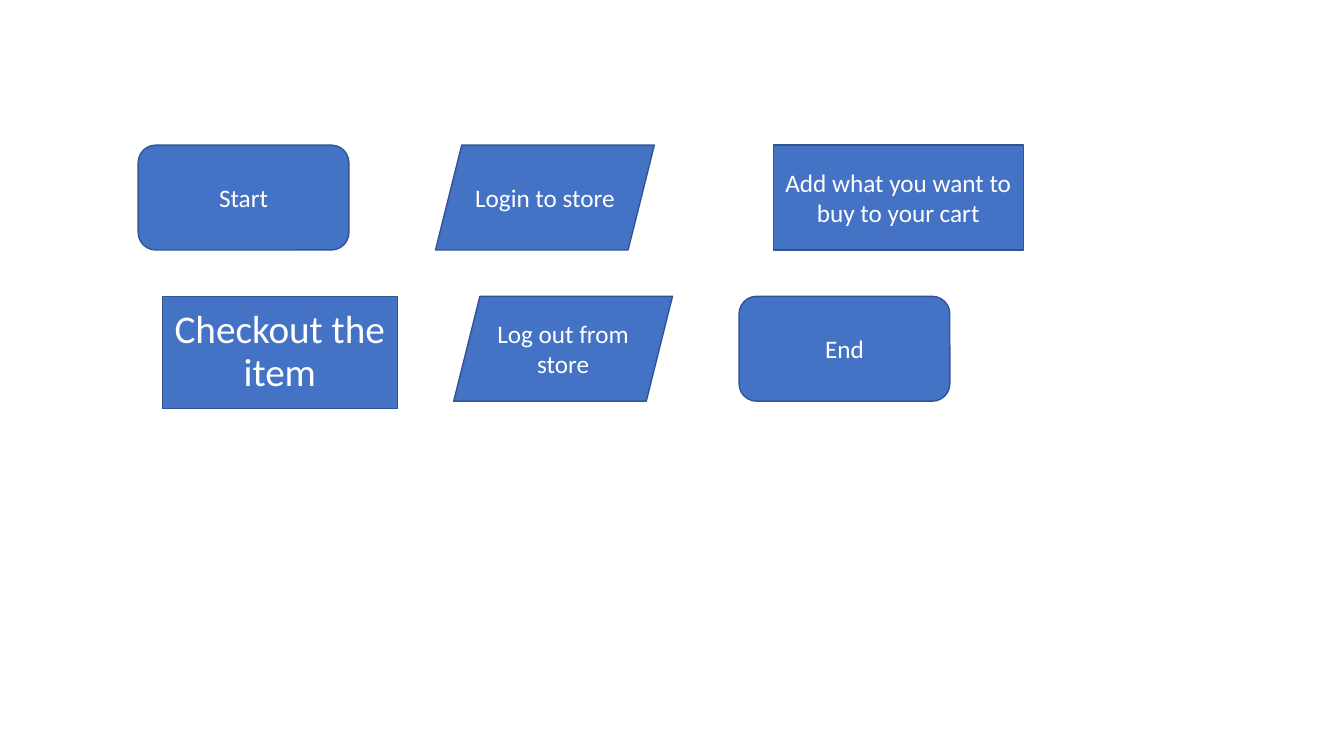
from dataclasses import dataclass

from lxml import etree
from pptx import Presentation
from pptx.dml.color import RGBColor
from pptx.enum.shapes import MSO_SHAPE
from pptx.enum.text import MSO_ANCHOR, MSO_AUTO_SIZE, PP_ALIGN
from pptx.oxml.ns import qn
from pptx.shapes.autoshape import Shape
from pptx.slide import Slide
from pptx.util import Inches, Pt

TERMINAL = MSO_SHAPE.ROUNDED_RECTANGLE
INPUT = MSO_SHAPE.PARALLELOGRAM
PROCESS = MSO_SHAPE.RECTANGLE
CENTER = PP_ALIGN.CENTER
MIDDLE = MSO_ANCHOR.MIDDLE
NO_AUTOFIT = MSO_AUTO_SIZE.NONE

BLUE = RGBColor(0x44, 0x72, 0xC4)
DARK_BLUE = RGBColor(0x32, 0x54, 0x91)
WHITE = RGBColor(0xFF, 0xFF, 0xFF)
FONT = "Calibri"

SLIDE_WIDTH = Inches(13.33)
SLIDE_HEIGHT = Inches(7.5)

# Shares of the slide's size, in percent
FIRST_ROW, SECOND_ROW = 19.2, 39.2
STEP_HEIGHT, CHECKOUT_HEIGHT = 13.87, 14.8
TERMINAL_WIDTH, INPUT_WIDTH, CART_WIDTH, CHECKOUT_WIDTH = 15.68, 16.28, 18.6, 17.48


@dataclass(frozen=True)
class Step:
    label: str
    kind: MSO_SHAPE
    left: float
    top: float
    width: float
    height: float = STEP_HEIGHT

    def box(self) -> tuple[int, int, int, int]:
        return (
            int(SLIDE_WIDTH * self.left / 100),
            int(SLIDE_HEIGHT * self.top / 100),
            int(SLIDE_WIDTH * self.width / 100),
            int(SLIDE_HEIGHT * self.height / 100),
        )


STEPS = (
    Step("Start", TERMINAL, 10.28, FIRST_ROW, TERMINAL_WIDTH),
    Step("Login to store", INPUT, 32.41, FIRST_ROW, INPUT_WIDTH),
    Step("Add what you want to buy to your cart", PROCESS, 57.54, FIRST_ROW, CART_WIDTH),
    Step("Log out from store", INPUT, 33.76, SECOND_ROW, INPUT_WIDTH),
    Step("End", TERMINAL, 54.99, SECOND_ROW, TERMINAL_WIDTH),
)
CHECKOUT = Step("Checkout the item", PROCESS, 12.08, SECOND_ROW, CHECKOUT_WIDTH, CHECKOUT_HEIGHT)


def write_text(shape: Shape, text: str, *, size: float = 18,
               line_spacing: float = 1.0, space_before: float = 0) -> None:
    frame = shape.text_frame
    frame.word_wrap = True
    frame.auto_size = NO_AUTOFIT
    frame.vertical_anchor = MIDDLE
    paragraph = frame.paragraphs[0]
    paragraph.alignment = CENTER
    paragraph.line_spacing = line_spacing
    paragraph.space_before = Pt(space_before)
    run = paragraph.add_run()
    run.text = text
    run.font.name = FONT
    run.font.size = Pt(size)
    run.font.color.rgb = WHITE


def paint(shape: Shape) -> None:
    shape.fill.solid()
    shape.fill.fore_color.rgb = BLUE
    shape.line.color.rgb = DARK_BLUE
    shape.line.width = Pt(1)


def draw_step(slide: Slide, step: Step) -> None:
    shape = slide.shapes.add_shape(step.kind, *step.box())
    shape.shadow.inherit = False
    paint(shape)
    write_text(shape, step.label)


def fill_checkout(body: Shape, step: Step) -> None:
    body.left, body.top, body.width, body.height = step.box()
    paint(body)
    write_text(body, step.label, size=28, line_spacing=0.9, space_before=10)
    # No bullet or hanging indent
    properties = body.text_frame.paragraphs[0]._p.get_or_add_pPr()
    properties.set("marL", "0")
    properties.set("indent", "0")
    etree.SubElement(properties, qn("a:buNone"))


def main() -> None:
    presentation = Presentation()
    presentation.slide_width = SLIDE_WIDTH
    presentation.slide_height = SLIDE_HEIGHT
    slide = presentation.slides.add_slide(presentation.slide_layouts[1])

    # The slide has no title
    title = slide.shapes.title.element
    title.getparent().remove(title)

    # Checkout step in the body placeholder, the others as shapes
    fill_checkout(slide.placeholders[1], CHECKOUT)
    for step in STEPS:
        draw_step(slide, step)

    presentation.save("out.pptx")


if __name__ == "__main__":
    main()
